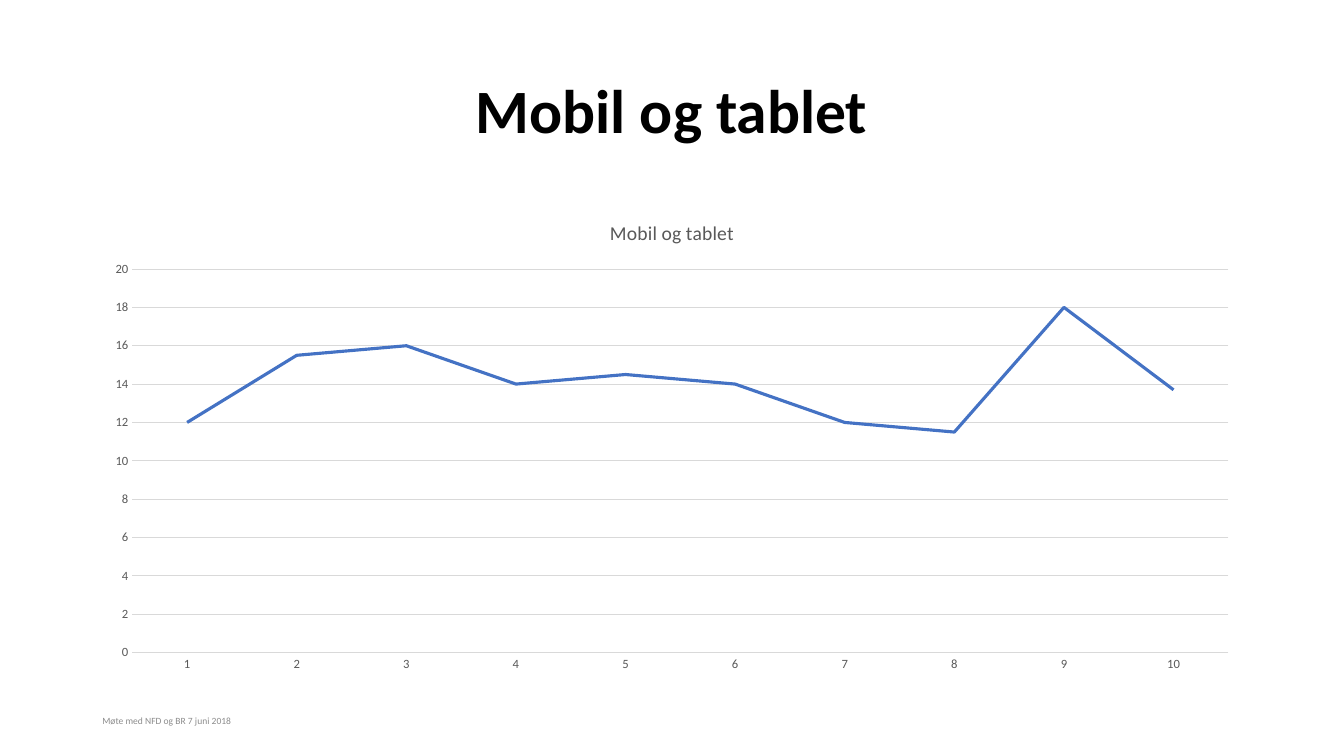
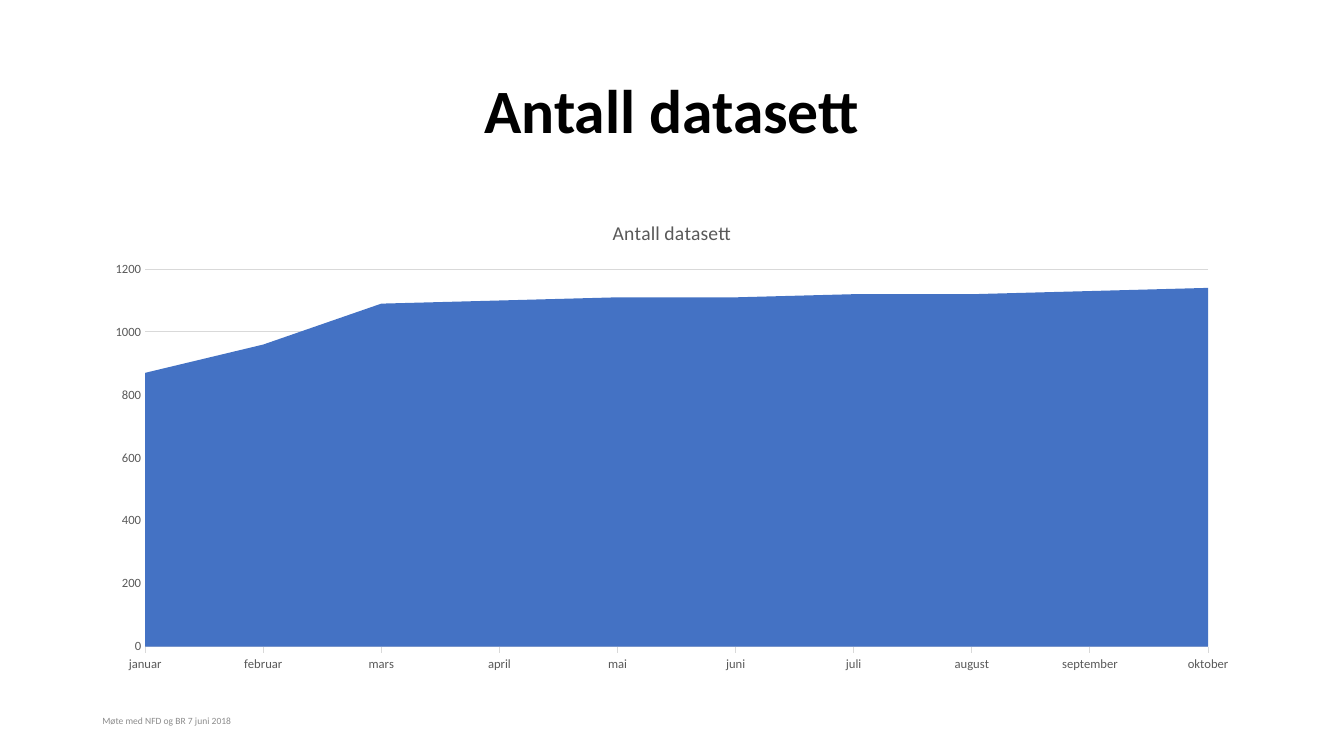
from pptx import Presentation
from pptx.chart.data import CategoryChartData
from pptx.dml.color import RGBColor
from pptx.enum import chart as charts, text
from pptx.util import Pt

FONT = "Calibri"
BLACK = RGBColor(0x00, 0x00, 0x00)
FOOTER_GREY = RGBColor(0x8C, 0x8C, 0x8C)
LABEL_GREY = RGBColor(0x59, 0x59, 0x59)
GRID_GREY = RGBColor(0xD9, 0xD9, 0xD9)
BLUE = RGBColor(0x44, 0x72, 0xC4)

LEFT, WIDTH = 66, 828
FOOTER = "Møte med NFD og BR 7 juni 2018"
MONTHS = ["januar", "februar", "mars", "april", "mai", "juni", "juli",
          "august", "september", "oktober"]
MOBILE_SHARE = [12, 15.5, 16, 14, 14.5, 14, 12, 11.5, 18, 13.7]
DATASETS = [870, 960, 1090, 1100, 1110, 1110, 1120, 1120, 1130, 1140]


def set_font(font, size, color, bold=False):
    font.name, font.size, font.bold = FONT, Pt(size), bold
    font.color.rgb = color


def add_text(page, content, left, top, width, height, *, size, color,
             bold=False, align=text.PP_ALIGN.LEFT, spacing=1.0):
    box = page.shapes.add_textbox(Pt(left), Pt(top), Pt(width), Pt(height))
    frame = box.text_frame
    frame.word_wrap = True
    frame.vertical_anchor = text.MSO_ANCHOR.MIDDLE
    para = frame.paragraphs[0]
    para.alignment, para.line_spacing = align, spacing
    span = para.add_run()
    span.text = content
    set_font(span.font, size, color, bold)


def add_page(deck, title):
    """Add a blank page with the shared title and footer."""
    page = deck.slides.add_slide(deck.slide_layouts[6])
    add_text(page, title, LEFT, 28.75, WIDTH, 104.4, size=44, color=BLACK,
             bold=True, align=text.PP_ALIGN.CENTER, spacing=0.9)
    add_text(page, FOOTER, LEFT, 500.5, 216, 28.75, size=6.8,
             color=FOOTER_GREY)
    return page


def style_line(line, color, width):
    line.color.rgb = color
    line.width = Pt(width)


def style_axes(chart, category_tick):
    for axis in (chart.category_axis, chart.value_axis):
        set_font(axis.tick_labels.font, 9, LABEL_GREY)
        axis.major_tick_mark = axis.minor_tick_mark = charts.XL_TICK_MARK.NONE
    chart.category_axis.major_tick_mark = category_tick
    chart.category_axis.has_major_gridlines = False
    style_line(chart.category_axis.format.line, GRID_GREY, 0.75)
    chart.value_axis.has_major_gridlines = True
    style_line(chart.value_axis.major_gridlines.format.line, GRID_GREY, 0.75)
    chart.value_axis.format.line.fill.background()


def add_chart(page, kind, title, categories, values, *, top_value, step,
              category_tick):
    """Add a titled single-series chart and return its series."""
    data = CategoryChartData()
    data.categories = categories
    data.add_series(title, values)
    chart = page.shapes.add_chart(kind, Pt(LEFT), Pt(143.75), Pt(WIDTH),
                                  Pt(342.6), data).chart
    set_font(chart.font, 10, BLACK)
    chart.has_legend = False
    chart.has_title = True
    para = chart.chart_title.text_frame.paragraphs[0]
    span = para.add_run()
    span.text = title
    set_font(span.font, 14, LABEL_GREY)
    style_axes(chart, category_tick)
    scale = chart.value_axis
    scale.minimum_scale, scale.maximum_scale = 0, top_value
    scale.major_unit = step
    chart.plots[0].vary_by_categories = False
    return chart.plots[0].series[0]


def add_mobile_page(deck):
    title = "Mobil og tablet"
    categories = [str(number) for number in range(1, 11)]
    series = add_chart(add_page(deck, title), charts.XL_CHART_TYPE.LINE,
                       title, categories, MOBILE_SHARE, top_value=20, step=2,
                       category_tick=charts.XL_TICK_MARK.NONE)
    series.smooth = False
    series.marker.style = charts.XL_MARKER_STYLE.NONE
    style_line(series.format.line, BLUE, 2.25)


def add_dataset_page(deck):
    title = "Antall datasett"
    series = add_chart(add_page(deck, title),
                       charts.XL_CHART_TYPE.AREA_STACKED, title, MONTHS,
                       DATASETS, top_value=1200, step=200,
                       category_tick=charts.XL_TICK_MARK.OUTSIDE)
    series.format.fill.solid()
    series.format.fill.fore_color.rgb = BLUE


def main():
    deck = Presentation()
    deck.slide_width, deck.slide_height = Pt(960), Pt(540)
    add_mobile_page(deck)
    add_dataset_page(deck)
    deck.save("out.pptx")


if __name__ == "__main__":
    main()
